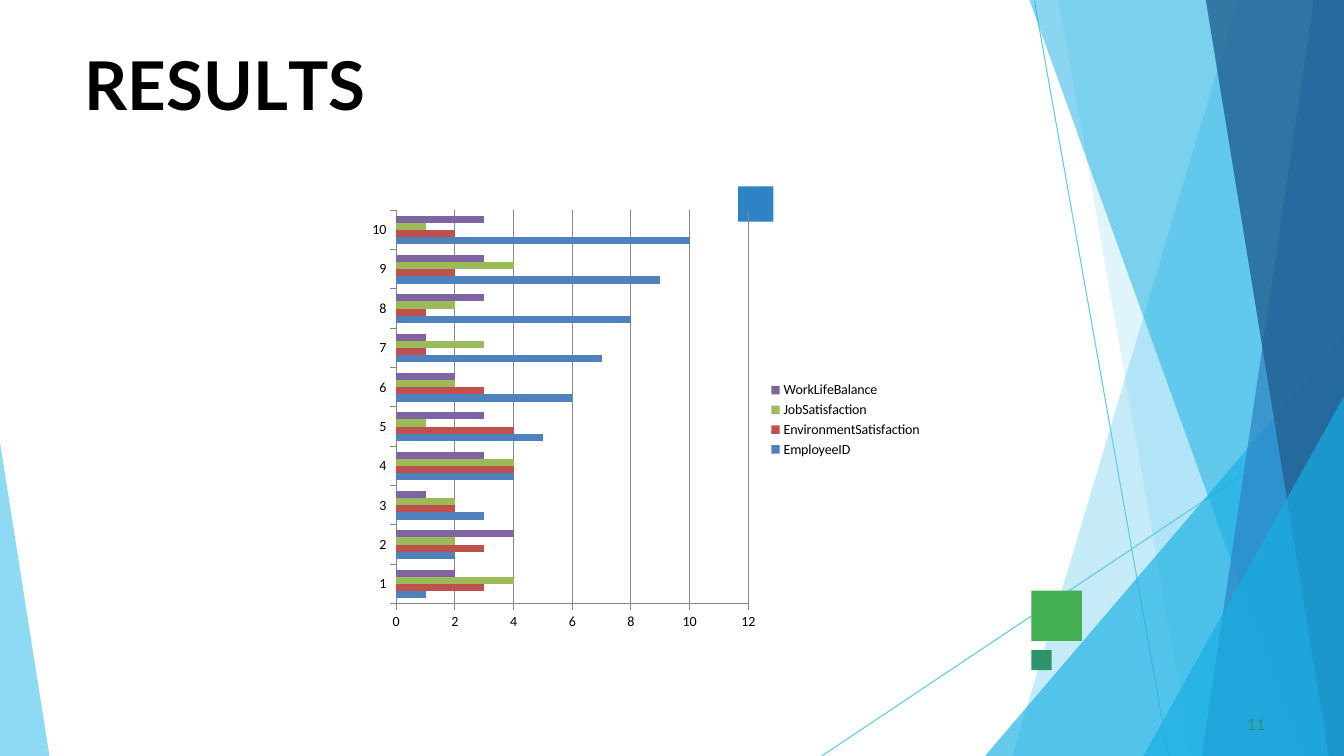
from lxml import etree
from pptx import Presentation
from pptx.chart.data import CategoryChartData
from pptx.dml.color import RGBColor
from pptx.enum.chart import XL_CHART_TYPE, XL_LEGEND_POSITION, XL_TICK_MARK
from pptx.enum.shapes import MSO_CONNECTOR, MSO_SHAPE
from pptx.enum.text import MSO_ANCHOR, PP_ALIGN
from pptx.oxml.ns import qn
from pptx.util import Inches, Pt

BAR = XL_CHART_TYPE.BAR_CLUSTERED
LEGEND_RIGHT = XL_LEGEND_POSITION.RIGHT
TICK_OUT = XL_TICK_MARK.OUTSIDE
STRAIGHT = MSO_CONNECTOR.STRAIGHT
RECTANGLE = MSO_SHAPE.RECTANGLE
TOP = MSO_ANCHOR.TOP
LEFT = PP_ALIGN.LEFT

WIDTH, HEIGHT = 13.33, 7.5


class Theme:
    font, chart_font = "Lato", "Calibri"
    title_size, number_size, chart_size = 48, 11, 10
    hairline = 0.75
    black, grid = "000000", "868686"
    sky, cyan, blue, navy = "5FCAEE", "17AFE3", "2D83C3", "226192"
    green, teal = "42AF51", "2D936B"


# Content: title letters are (text, letter spacing in points)
TITLE = [("R", 0), ("E", -0.4), ("S", 0.1), ("U", -0.3), ("L", -4), ("TS", 0)]
PAGE_NUMBER = [("11", 0.1)]
EMPLOYEES = [str(number) for number in range(1, 11)]
SERIES = [
    ("EmployeeID", list(range(1, 11)), "4F81BD"),
    ("EnvironmentSatisfaction", [3, 3, 2, 4, 4, 3, 1, 1, 2, 2], "C0504D"),
    ("JobSatisfaction", [4, 2, 2, 4, 1, 2, 3, 2, 4, 1], "9BBB59"),
    ("WorkLifeBalance", [2, 4, 1, 3, 3, 2, 1, 3, 3, 3], "8064A2"),
]

# Decoration: each ray and band edge runs from (x, y) to a foot on the bottom
RAYS = [(10.26, 0.01, 11.59), (WIDTH, 4.04, 8.15)]
# x, y, foot, side of the slide it fills to, colour, opacity %
BANDS = [
    (12.28, 0, 10.04, WIDTH, Theme.sky, 36),
    (10.5, 0, 11.82, WIDTH, Theme.sky, 20),
    (WIDTH, 3.33, 9.77, WIDTH, Theme.cyan, 66),
    (10.21, 0, 12.91, WIDTH, Theme.cyan, 50),
    (13.03, 0, 11.92, WIDTH, Theme.blue, 70),
    (11.96, 0, 13.18, WIDTH, Theme.navy, 80),
    (WIDTH, 3.93, 11.34, WIDTH, Theme.cyan, 66),
    (0, 4.39, 0.49, 0, Theme.sky, 70),
]
# left, top, side, colour
SQUARES = [
    (10.23, 5.86, 0.5, Theme.green),
    (7.32, 1.85, 0.35, Theme.blue),
    (10.23, 6.45, 0.2, Theme.teal),
]
TITLE_BOX = (0.83, 0.42, 11.68, 0.83)
NUMBER_BOX = (12.33, 7.08, 0.25, 0.21)
CHART_BOX = (3.58, 2, 5.67, 4.33)


def inches(*lengths):
    return [Inches(length) for length in lengths]


def color(code):
    return RGBColor.from_string(code)


def paint(shape, code, opacity=100):
    shape.shadow.inherit = False
    shape.fill.solid()
    shape.fill.fore_color.rgb = color(code)
    shape.line.fill.background()
    if opacity < 100:
        tint = shape.fill._xPr.find(qn("a:solidFill"))[0]
        etree.SubElement(tint, qn("a:alpha")).set("val", str(opacity * 1000))


def add_ray(page, x, y, foot):
    ray = page.shapes.add_connector(STRAIGHT, *inches(x, y, foot, HEIGHT))
    ray.line.color.rgb = color(Theme.sky)
    ray.line.width = Pt(Theme.hairline)
    etree.SubElement(ray._element.spPr, qn("a:effectLst"))


def add_band(page, x, y, foot, side, code, opacity):
    builder = page.shapes.build_freeform(*inches(x, y), scale=1.0)
    corners = [(foot, HEIGHT), (side, HEIGHT), (side, y)]
    builder.add_line_segments([inches(*corner) for corner in corners])
    paint(builder.convert_to_shape(), code, opacity)


def write(shape, pieces, size, code, bold=False, indent=0.0, before=0.0):
    frame = shape.text_frame
    frame.word_wrap = True
    frame.vertical_anchor = TOP
    frame.margin_left = frame.margin_right = frame.margin_bottom = 0
    frame.margin_top = Inches(0.01)
    para = frame.paragraphs[0]
    para.alignment = LEFT
    para.space_before = Pt(before)
    para.line_spacing = 1.0
    para._p.get_or_add_pPr().set("marL", str(Inches(indent)))
    for text, spacing in pieces:
        span = para.add_run()
        span.text = text
        span.font.name = Theme.font
        span.font.size = Pt(size)
        span.font.bold = bold
        span.font.color.rgb = color(code)
        span.font._element.set("spc", str(round(spacing * 100)))


def add_results_chart(page):
    data = CategoryChartData()
    data.categories = EMPLOYEES
    for name, values, _ in SERIES:
        data.add_series(name, values)
    chart = page.shapes.add_chart(BAR, *inches(*CHART_BOX), data).chart
    chart.has_title = False
    chart.font.name = Theme.chart_font
    chart.font.size = Pt(Theme.chart_size)
    chart.font.color.rgb = color(Theme.black)
    chart.has_legend = True
    chart.legend.position = LEGEND_RIGHT
    chart.legend.include_in_layout = False

    plot = chart.plots[0]
    plot.gap_width = 150
    plot.overlap = 0
    plot.vary_by_categories = False
    for series, (_, _, code) in zip(plot.series, SERIES):
        series.format.fill.solid()
        series.format.fill.fore_color.rgb = color(code)

    chart.value_axis.has_major_gridlines = True
    chart.value_axis.minimum_scale = 0
    chart.value_axis.maximum_scale = 12
    chart.value_axis.major_unit = 2
    for axis in (chart.category_axis, chart.value_axis):
        axis.major_tick_mark = TICK_OUT
    lines = (chart.category_axis, chart.value_axis, chart.value_axis.major_gridlines)
    for item in lines:
        item.format.line.color.rgb = color(Theme.grid)
        item.format.line.width = Pt(Theme.hairline)


def main():
    deck = Presentation()
    deck.slide_width, deck.slide_height = inches(WIDTH, HEIGHT)
    page = deck.slides.add_slide(deck.slide_layouts[5])

    # Background rays, bands and squares
    for ray in RAYS:
        add_ray(page, *ray)
    for band in BANDS:
        add_band(page, *band)
    for left, top, side, code in SQUARES:
        square = page.shapes.add_shape(RECTANGLE, *inches(left, top, side, side))
        paint(square, code)

    # Title, brought in front of the bands
    title = page.shapes.title
    title.left, title.top, title.width, title.height = inches(*TITLE_BOX)
    page.shapes._spTree.append(title._element)
    write(title, TITLE, Theme.title_size, Theme.black, True, 0.01, 1.1)

    # Page number and chart
    number = page.shapes.add_textbox(*inches(*NUMBER_BOX))
    write(number, PAGE_NUMBER, Theme.number_size, Theme.teal, False, 0.04, 0.6)
    add_results_chart(page)

    deck.save("out.pptx")


if __name__ == "__main__":
    main()
